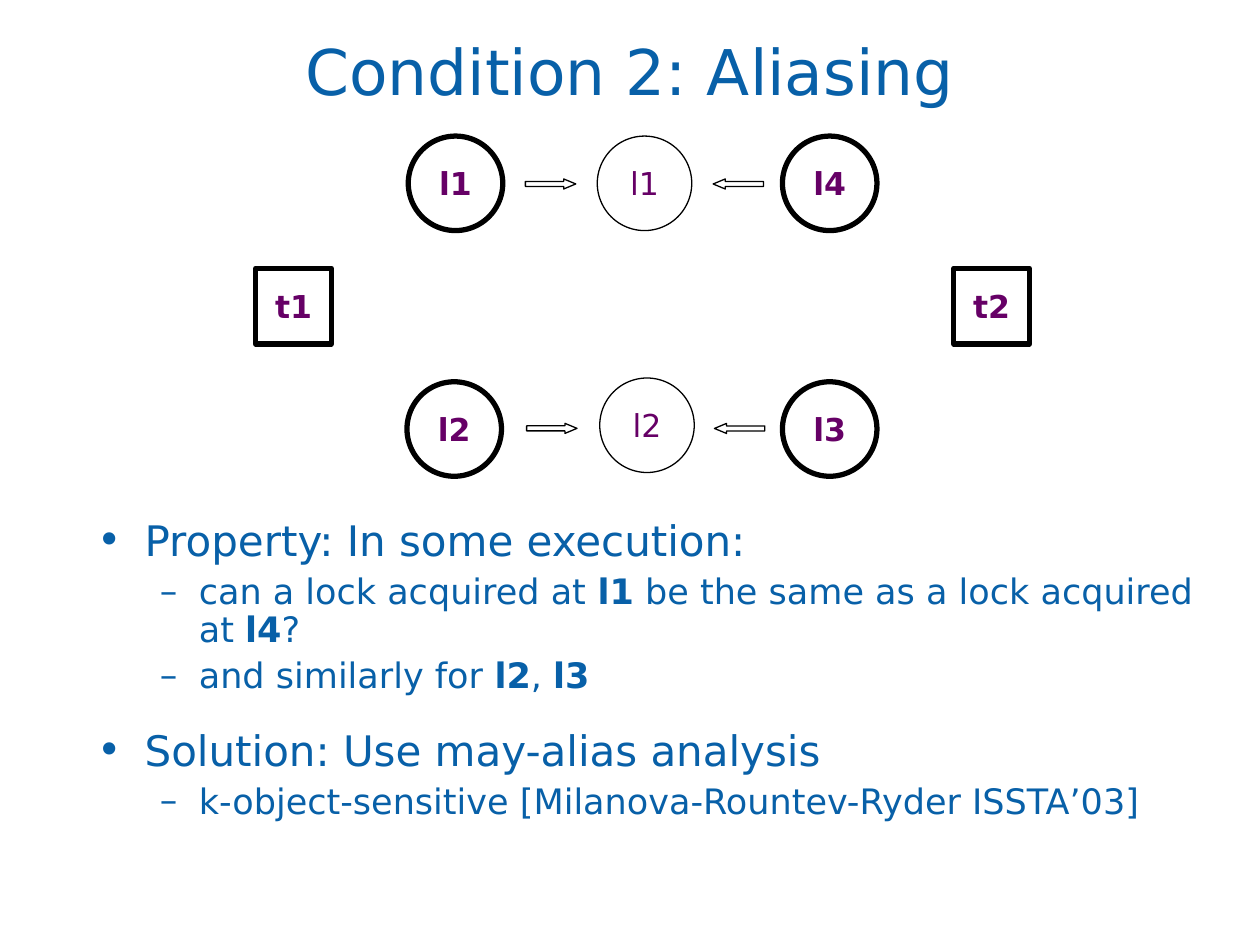
from lxml import etree
from pptx import Presentation
from pptx.dml.color import RGBColor
from pptx.enum.shapes import MSO_SHAPE as Shape
from pptx.enum.text import MSO_ANCHOR as Anchor, PP_ALIGN as Align
from pptx.oxml.ns import qn
from pptx.util import Inches, Pt

FONT = "DejaVu Sans"
BLUE, PURPLE, BLACK = "0860A8", "660066", "000000"
NODE, THREAD = 0.75, 0.6
ARROW_WIDTH, ARROW_HEIGHT = 0.4, 0.08

# Level: text size, left margin, hanging indent, bullet
LEVELS = [(24, 0.38, -0.38, "•"), (20, 0.81, -0.31, "–")]

# Level, space before, runs as (text, bold)
POINTS = [
    (0, 0, [("Property: In some execution:", False)]),
    (1, 5, [("can a lock acquired at ", False), ("l1", True),
            (" be the same as a lock acquired at ", False),
            ("l4", True), ("?", False)]),
    (1, 5, [("and similarly for ", False), ("l2", True),
            (", ", False), ("l3", True)]),
    (0, 19, [("Solution: Use may-alias analysis", False)]),
    (1, 5, [("k-object-sensitive [Milanova-Rountev-Ryder ISSTA’03]", False)]),
]

# Label, left, top, bold; places are relative to the diagram
LOCKS = [
    ("l1", 1.21, 0, True), ("l1", 2.71, 0, False), ("l4", 4.18, 0, True),
    ("l2", 1.2, 1.95, True), ("l2", 2.73, 1.92, False), ("l3", 4.18, 1.95, True),
]
THREADS = [("t1", 0, 1.05), ("t2", 5.54, 1.05)]
# Left, top, rotation
ARROWS = [(2.14, 0.34, 0), (3.63, 0.34, 180), (2.15, 2.28, 0), (3.64, 2.28, 180)]


def color(value):
    return RGBColor.from_string(value)


def add_span(para, text, size, hue, bold=False):
    span = para.add_run()
    span.text = text
    span.font.name = FONT
    span.font.size = Pt(size)
    span.font.bold = bold
    span.font.color.rgb = color(hue)


def add_bullet(para, level):
    size, margin, indent, mark = LEVELS[level]
    props = para._p.get_or_add_pPr()
    props.set("marL", str(Inches(margin)))
    props.set("indent", str(Inches(indent)))
    hue = etree.SubElement(props, qn("a:buClr"))
    etree.SubElement(hue, qn("a:srgbClr"), val=BLUE)
    etree.SubElement(props, qn("a:buFont"), typeface=FONT)
    etree.SubElement(props, qn("a:buChar"), char=mark)


def add_title(page, left, top, width, height):
    title = page.shapes.title
    title.left, title.top = Inches(left), Inches(top)
    title.width, title.height = Inches(width), Inches(height)
    frame = title.text_frame
    frame.vertical_anchor = Anchor.MIDDLE
    para = frame.paragraphs[0]
    para.alignment = Align.CENTER
    add_span(para, "Condition 2: Aliasing", 36, BLUE)


def add_outline(page, kind, left, top, width, height, weight):
    """Add an unfilled shape with a black line."""
    shape = page.shapes.add_shape(
        kind, Inches(left), Inches(top), Inches(width), Inches(height))
    shape.shadow.inherit = False
    shape.fill.background()
    shape.line.color.rgb = color(BLACK)
    shape.line.width = Pt(weight)
    return shape


def add_node(page, kind, label, left, top, side, bold):
    node = add_outline(page, kind, left, top, side, side, 3 if bold else 0.75)
    frame = node.text_frame
    frame.word_wrap = False
    frame.vertical_anchor = Anchor.MIDDLE
    para = frame.paragraphs[0]
    para.alignment = Align.CENTER
    add_span(para, label, 18, PURPLE, bold)


def add_diagram(page, left, top):
    for label, x, y, bold in LOCKS:
        add_node(page, Shape.OVAL, label, left + x, top + y, NODE, bold)
    for label, x, y in THREADS:
        add_node(page, Shape.RECTANGLE, label, left + x, top + y, THREAD, True)
    for x, y, rotation in ARROWS:
        arrow = add_outline(page, Shape.RIGHT_ARROW, left + x, top + y,
                            ARROW_WIDTH, ARROW_HEIGHT, 0.75)
        arrow.adjustments[1] = 1.2
        arrow.rotation = rotation


def add_points(page, left, top, width, height):
    box = page.shapes.add_textbox(
        Inches(left), Inches(top), Inches(width), Inches(height))
    frame = box.text_frame
    frame.word_wrap = True
    for index, (level, space, spans) in enumerate(POINTS):
        para = frame.add_paragraph() if index else frame.paragraphs[0]
        para.level = level
        add_bullet(para, level)
        para.line_spacing = 0.9
        para.space_before = Pt(space)
        for text, bold in spans:
            add_span(para, text, LEVELS[level][0], BLUE, bold)


def main():
    deck = Presentation()
    deck.slide_width, deck.slide_height = Inches(10), Inches(7.5)
    page = deck.slides.add_slide(deck.slide_layouts[5])
    add_title(page, 0.5, 0.08, 9, 0.95)
    add_diagram(page, 2.03, 1.08)
    add_points(page, 0.67, 4.08, 9, 2.58)
    deck.save("out.pptx")


if __name__ == "__main__":
    main()
